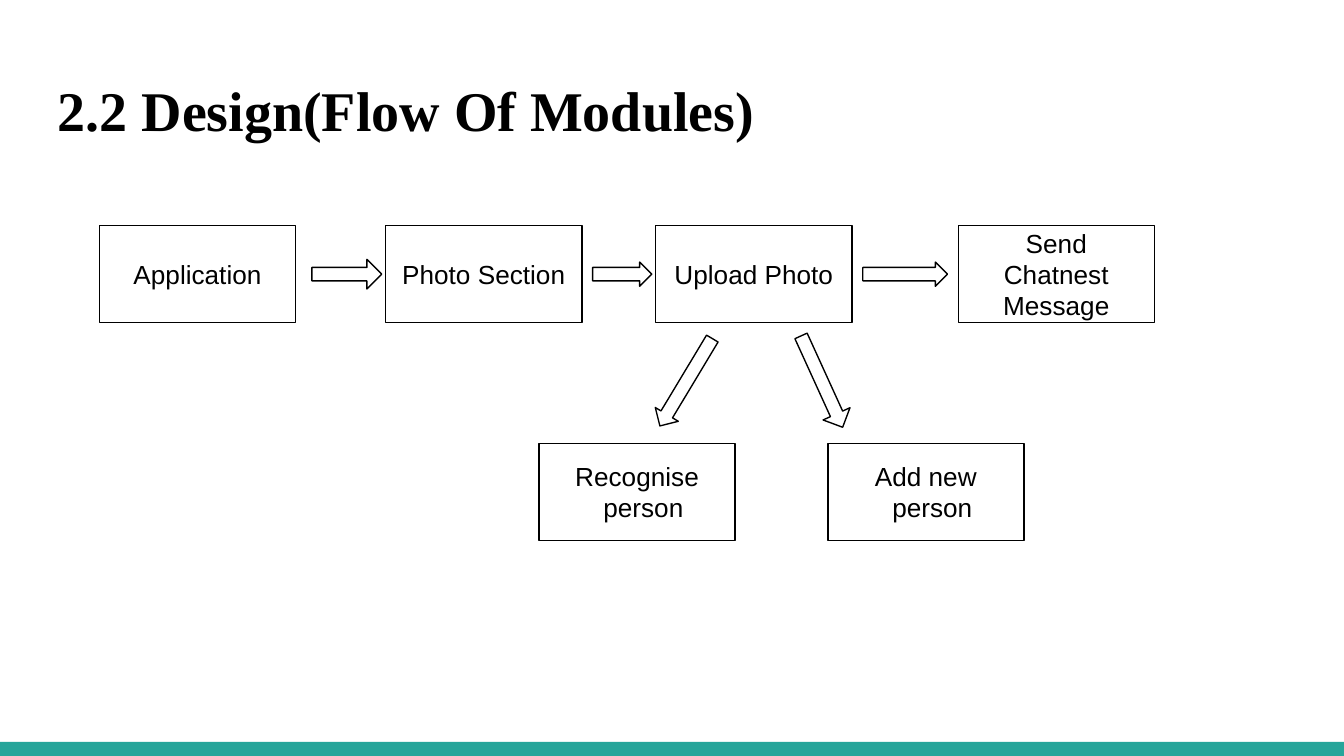
from math import hypot
from typing import NamedTuple

from pptx import Presentation
from pptx.dml.color import RGBColor
from pptx.enum.shapes import MSO_SHAPE as Shape
from pptx.enum.text import MSO_ANCHOR as Anchor, PP_ALIGN as Align
from pptx.util import Inches, Pt

BLACK, TEAL = "000000", "26A59A"
SLIDE_WIDTH = Inches(10)
SLIDE_HEIGHT = SLIDE_WIDTH * 9 // 16
MODULE_WIDTH, MODULE_HEIGHT = 1.46, 0.72
TOP_ROW, BOTTOM_ROW = 1.68, 3.3
FLOW_Y = TOP_ROW + MODULE_HEIGHT / 2
SHAFT_HALF = 0.05


class Module(NamedTuple):
    label: str
    left: float
    top: float = TOP_ROW
    side_margin: float = 0
    hanging: tuple[float, float] | None = None  # left margin, first-line indent


class Arrow(NamedTuple):
    tail: tuple[float, float]
    tip: tuple[float, float]
    head: float  # head length, also half of the head width


MODULES = [
    Module("Application", 0.74),
    Module("Photo Section", 2.87),
    Module("Upload Photo", 4.88),
    Module("Send Chatnest Message", 7.13, side_margin=0.15),
    Module("Recognise person", 4.01, BOTTOM_ROW, hanging=(0.48, -0.21)),
    Module("Add new person", 6.16, BOTTOM_ROW, hanging=(0.48, -0.13)),
]

ARROWS = [
    Arrow((2.32, FLOW_Y), (2.84, FLOW_Y), 0.11),
    Arrow((4.41, FLOW_Y), (4.85, FLOW_Y), 0.09),
    Arrow((6.42, FLOW_Y), (7.05, FLOW_Y), 0.09),
    Arrow((5.3, 2.52), (4.91, 3.17), 0.1),
    Arrow((5.96, 2.5), (6.27, 3.18), 0.11),
]


def color(hex_value: str) -> RGBColor:
    return RGBColor.from_string(hex_value)


def set_font(font, **values) -> None:
    for name, value in values.items():
        setattr(font, name, value)
    font.color.rgb = color(BLACK)


def set_frame(frame, **values) -> None:
    """Apply frame settings over zero margins and middle anchoring."""
    defaults = dict(margin_left=0, margin_right=0, margin_top=0, margin_bottom=0,
                    vertical_anchor=Anchor.MIDDLE, word_wrap=True)
    for name, value in (defaults | values).items():
        setattr(frame, name, value)


def outline(shape) -> None:
    shape.shadow.inherit = False
    shape.fill.background()
    shape.line.color.rgb = color(BLACK)
    shape.line.width = Pt(0.75)


def draw_module(slide, module: Module) -> None:
    box = slide.shapes.add_shape(
        Shape.RECTANGLE, Inches(module.left), Inches(module.top),
        Inches(MODULE_WIDTH), Inches(MODULE_HEIGHT))
    outline(box)
    margin = Inches(module.side_margin)
    set_frame(box.text_frame, margin_left=margin, margin_right=margin)
    label = box.text_frame.paragraphs[0]
    label.text = module.label
    label.alignment = Align.CENTER
    label.line_spacing = Pt(16.5)
    if module.hanging:
        label.alignment = Align.LEFT
        properties = label._p.get_or_add_pPr()
        for name, length in zip(("marL", "indent"), module.hanging):
            properties.set(name, str(Inches(length)))
    set_font(label.font, name="Arial", size=Pt(14))


def draw_arrow(slide, arrow: Arrow) -> None:
    """Outline a block arrow from tail to tip, at any angle."""
    (x0, y0), (x1, y1) = arrow.tail, arrow.tip
    length = hypot(x1 - x0, y1 - y0)
    ux, uy = (x1 - x0) / length, (y1 - y0) / length
    neck = length - arrow.head
    profile = [(0, -SHAFT_HALF), (neck, -SHAFT_HALF), (neck, -arrow.head), (length, 0),
               (neck, arrow.head), (neck, SHAFT_HALF), (0, SHAFT_HALF)]
    points = [(Inches(x0 + along * ux - across * uy), Inches(y0 + along * uy + across * ux))
              for along, across in profile]
    builder = slide.shapes.build_freeform(*points[0])
    builder.add_line_segments(points[1:], close=True)
    outline(builder.convert_to_shape())


def draw_title(slide, text: str) -> None:
    title = slide.shapes.title
    title.left, title.top = Inches(0.43), Inches(0.55)
    title.width, title.height = Inches(5.21), Inches(0.53)
    set_frame(title.text_frame, word_wrap=False)
    heading = title.text_frame.paragraphs[0]
    heading.text = text
    heading.alignment = Align.LEFT
    set_font(heading.font, name="Times New Roman", size=Pt(30), bold=True)


def draw_footer_bar(slide) -> None:
    top = Inches(5.52)
    bar = slide.shapes.add_shape(
        Shape.RECTANGLE, 0, top, SLIDE_WIDTH, SLIDE_HEIGHT - top)
    bar.shadow.inherit = False
    bar.fill.solid()
    bar.fill.fore_color.rgb = color(TEAL)
    bar.line.fill.background()


def main() -> None:
    deck = Presentation()
    deck.slide_width, deck.slide_height = SLIDE_WIDTH, SLIDE_HEIGHT
    slide = deck.slides.add_slide(deck.slide_layouts.get_by_name("Title Only"))
    draw_footer_bar(slide)
    draw_title(slide, "2.2 Design(Flow Of Modules)")
    for module in MODULES:
        draw_module(slide, module)
    for arrow in ARROWS:
        draw_arrow(slide, arrow)
    deck.save("out.pptx")


if __name__ == "__main__":
    main()
